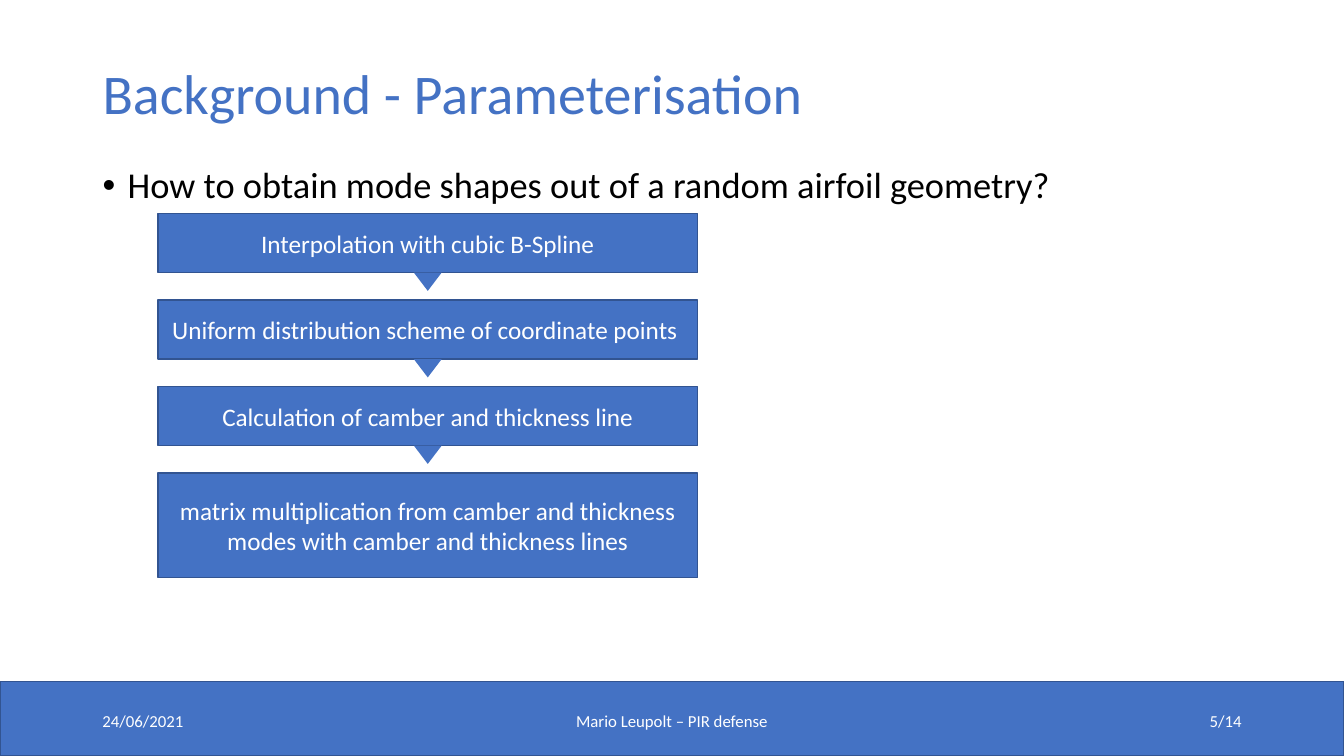
from lxml import etree
from pptx import Presentation
from pptx.dml.color import RGBColor
from pptx.enum import shapes, text
from pptx.oxml.ns import qn
from pptx.util import Cm, Pt

HUES = {"blue": "4472C4", "edge": "325491", "white": "FFFFFF", "black": "000000"}
KIND = shapes.MSO_SHAPE
SIDE = text.PP_ALIGN
MID = text.MSO_ANCHOR.MIDDLE
STEPS = [
    ("Interpolation with cubic B-Spline", 1.49),
    ("Uniform distribution scheme of coordinate points ", 1.49),
    ("Calculation of camber and thickness line", 1.49),
    ("matrix multiplication from camber and thickness modes "
     "with camber and thickness lines", 2.64),
]
FOOTER = [
    ("24/06/2021", 2.33, 7.62, SIDE.LEFT),
    ("Mario Leupolt – PIR defense", 11.22, 11.43, SIDE.CENTER),
    ("5/14", 23.92, 7.62, SIDE.RIGHT),
]
LEFT, TOP, WIDTH, PITCH = 3.98, 5.38, 13.6, 2.18
TIP_W, TIP_H = 0.7, 0.46


def tint(name):
    """Return the named colour."""
    return RGBColor.from_string(HUES[name])


def write(shape, words, size, hue, align, anchor=MID):
    """Fill a shape with one formatted paragraph and return it."""
    frame = shape.text_frame
    frame.text = words
    frame.word_wrap = True
    frame.auto_size = text.MSO_AUTO_SIZE.NONE
    frame.vertical_anchor = anchor
    para = frame.paragraphs[0]
    para.alignment = align
    para.space_before = Pt(0)
    for run in para.runs:
        run.font.name = "Calibri"
        run.font.size = Pt(size)
        run.font.color.rgb = tint(hue)
    return para


def place(shape, left, top, width, height):
    """Move and size a placeholder."""
    shape.left, shape.top = Cm(left), Cm(top)
    shape.width, shape.height = Cm(width), Cm(height)


def bullet(para):
    """Give a paragraph a round bullet with a hanging indent."""
    props = para._p.get_or_add_pPr()
    props.set("marL", str(Cm(0.635)))
    props.set("indent", str(-Cm(0.635)))
    etree.SubElement(props, qn("a:buFont")).set("typeface", "Arial")
    etree.SubElement(props, qn("a:buChar")).set("char", "•")


def block(slide, kind, left, top, width, height, edge=True):
    """Draw a flat blue shape, outlined if wanted."""
    shape = slide.shapes.add_shape(kind, Cm(left), Cm(top), Cm(width), Cm(height))
    shape.shadow.inherit = False
    shape.fill.solid()
    shape.fill.fore_color.rgb = tint("blue")
    if edge:
        shape.line.color.rgb = tint("edge")
        shape.line.width = Pt(1)
    else:
        shape.line.fill.background()
    return shape


def heads(slide):
    """Set the title and the bulleted question."""
    title, body = slide.placeholders
    place(title, 2.33, 1.01, 29.21, 2.82)
    para = write(title, "Background - Parameterisation", 40, "blue", SIDE.LEFT)
    para.line_spacing = 0.9
    place(body, 2.33, 4.09, 29.21, 12.09)
    para = write(body, "How to obtain mode shapes out of a random airfoil geometry?",
                 26, "black", SIDE.LEFT, text.MSO_ANCHOR.TOP)
    para.line_spacing = 0.9
    bullet(para)


def flow(slide):
    """Stack the steps with a pointer below each but the last."""
    for row, (words, height) in enumerate(STEPS):
        top = TOP + row * PITCH
        box = block(slide, KIND.RECTANGLE, LEFT, top, WIDTH, height)
        write(box, words, 18, "white", SIDE.CENTER)
        if row < len(STEPS) - 1:
            tip = block(slide, KIND.ISOSCELES_TRIANGLE, LEFT + (WIDTH - TIP_W) / 2,
                        top + height, TIP_W, TIP_H, edge=False)
            tip.rotation = 180


def footer(slide):
    """Draw the bottom band with its three labels."""
    block(slide, KIND.RECTANGLE, 0, 17.17, 33.87, 1.88)
    for words, left, width, align in FOOTER:
        label = slide.shapes.add_textbox(Cm(left), Cm(17.65), Cm(width), Cm(1.01))
        write(label, words, 12, "white", align)


def main():
    """Build and save the slide."""
    deck = Presentation()
    deck.slide_width, deck.slide_height = Cm(33.87), Cm(19.05)
    slide = deck.slides.add_slide(deck.slide_layouts[1])
    heads(slide)
    footer(slide)
    flow(slide)
    deck.save("out.pptx")


if __name__ == "__main__":
    main()
